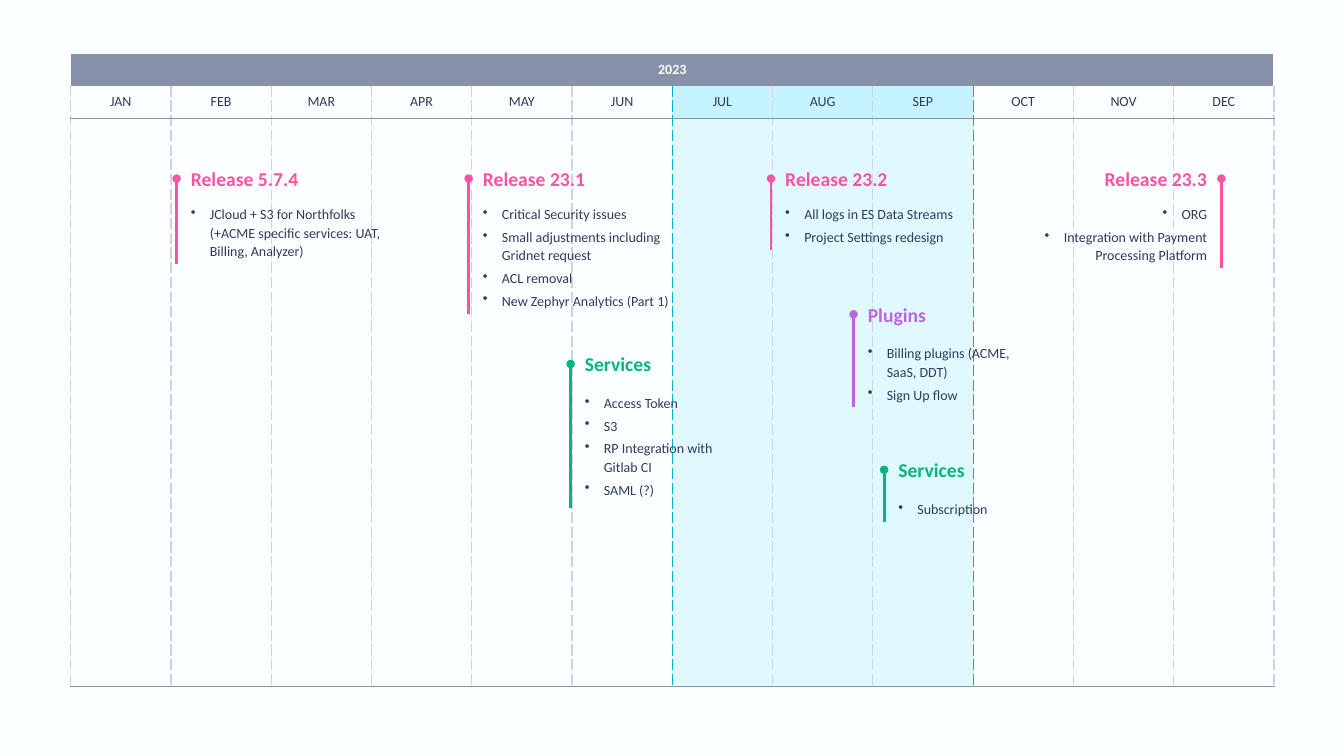
from dataclasses import dataclass

from lxml import etree
from pptx import Presentation
from pptx.dml.color import RGBColor
from pptx.enum.shapes import MSO_CONNECTOR
from pptx.enum.text import MSO_ANCHOR, PP_ALIGN
from pptx.oxml.ns import qn
from pptx.util import Cm, Pt

STRAIGHT = MSO_CONNECTOR.STRAIGHT
MIDDLE, TOP = MSO_ANCHOR.MIDDLE, MSO_ANCHOR.TOP
LEFT, CENTER, RIGHT = PP_ALIGN.LEFT, PP_ALIGN.CENTER, PP_ALIGN.RIGHT
LEFT_SIDE, RIGHT_SIDE = 1, 3


@dataclass(frozen=True)
class Theme:
    font: str = "Calibri"
    paper: str = "FBFFFF"
    ink: str = "2E3B5F"
    slate: str = "8791AA"
    grid: str = "CFD3DD"
    quarter_edge: str = "05AFD0"
    quarter: str = "C5F4FE"
    release: str = "FA53A4"
    services: str = "00B681"
    plugins: str = "BB65E0"
    small: int = 10
    heading: int = 14


THEME = Theme()


@dataclass(frozen=True)
class Milestone:
    """Lengths are in centimetres; x and dot place the dot on the stem."""
    title: str
    color: str
    x: float
    dot: float
    stem: float
    heading_width: float
    body_width: float
    items: tuple
    body_gap: float = 0.51
    align: PP_ALIGN = LEFT


MONTHS = ("JAN", "FEB", "MAR", "APR", "MAY", "JUN",
          "JUL", "AUG", "SEP", "OCT", "NOV", "DEC")
QUARTER_START, QUARTER_END = 6, 9
ROW_COUNT, TALL_ROW = 17, 8
SPECIAL_ROWS = {0: Cm(0.79), TALL_ROW: Cm(2.11), ROW_COUNT - 1: Cm(1.45)}

MILESTONES = (
    Milestone("Plugins", THEME.plugins, 21.51, 7.92, 2.34, 3.86, 4.62,
              ("Billing plugins (ACME, SaaS, DDT)", "Sign Up flow"), 0.6),
    Milestone("Services", THEME.services, 14.38, 9.17, 3.63, 3.86, 4.62,
              ("Access Token", "S3", "RP Integration with Gitlab CI", "SAML (?)"), 0.6),
    Milestone("Release 23.1", THEME.release, 11.81, 4.5, 3.42, 5.66, 5.66,
              ("Critical Security issues", "Small adjustments including Gridnet request",
               "ACL removal", "New Zephyr Analytics (Part 1)")),
    Milestone("Release 5.7.4", THEME.release, 4.45, 4.5, 2.15, 5.66, 5.66,
              ("JCloud + S3 for Northfolks (+ACME specific services: UAT, Billing, Analyzer)",)),
    Milestone("Release 23.2", THEME.release, 19.43, 4.5, 1.8, 5.66, 5.11,
              ("All logs in ES Data Streams", "Project Settings redesign")),
    Milestone("Release 23.3", THEME.release, 30.78, 4.5, 2.26, 4.06, 4.85,
              ("ORG", "Integration with Payment Processing Platform"), align=RIGHT),
    Milestone("Services", THEME.services, 22.28, 11.84, 1.32, 3.86, 4.62,
              ("Subscription",), 0.6),
)


def add_run(paragraph, text, size, color, bold=False):
    run = paragraph.add_run()
    run.text = text
    run.font.name = THEME.font
    run.font.size = Pt(size)
    run.font.bold = bold
    run.font.color.rgb = RGBColor.from_string(color)


def set_borders(cell, borders):
    """Draw the given sides as (colour, points, dash) and clear the others."""
    properties = cell._tc.get_or_add_tcPr()
    for position, side in enumerate(("lnL", "lnR", "lnT", "lnB")):
        line = etree.Element(qn("a:" + side))
        properties.insert(position, line)
        if side not in borders:
            etree.SubElement(line, qn("a:noFill"))
            continue
        color, points, dash = borders[side]
        line.set("w", str(Pt(points)))
        fill = etree.SubElement(line, qn("a:solidFill"))
        etree.SubElement(fill, qn("a:srgbClr"), val=color)
        etree.SubElement(line, qn("a:prstDash"), val=dash)


def fill_cell(cell, color, alpha=None):
    cell.fill.solid()
    cell.fill.fore_color.rgb = RGBColor.from_string(color)
    if alpha:
        shade = cell._tc.tcPr.find(".//" + qn("a:srgbClr"))
        etree.SubElement(shade, qn("a:alpha"), val=str(alpha * 1000))


def month_edge(index):
    edge = index in (QUARTER_START, QUARTER_END)
    return THEME.quarter_edge if edge else THEME.grid, 1, "dash"


def format_calendar_cell(cell, row, column):
    cell.margin_left = cell.margin_right = 0
    cell.margin_top = cell.margin_bottom = Cm(0.13)
    cell.vertical_anchor = MIDDLE
    paragraph = cell.text_frame.paragraphs[0]
    paragraph.alignment = CENTER
    if row == 0:
        fill_cell(cell, THEME.slate)
        set_borders(cell, {"lnR": (THEME.paper, 1, "solid")})
        if column == 0:
            add_run(paragraph, "2023", THEME.small, THEME.paper, bold=True)
        return

    if QUARTER_START <= column < QUARTER_END:
        fill_cell(cell, THEME.quarter, None if row == 1 else 50)
    else:
        cell.fill.background()
    rule = (THEME.slate, 0.75, "solid")
    borders = {"lnL": month_edge(column), "lnR": month_edge(column + 1)}
    if row == 2:
        borders["lnT"] = rule
    if row in (1, ROW_COUNT - 1):
        borders["lnB"] = rule
    set_borders(cell, borders)
    if row == 1:
        add_run(paragraph, MONTHS[column], THEME.small, THEME.ink)
    else:
        paragraph._p.get_or_add_endParaRPr().set("sz", str(THEME.small * 100))


def add_calendar(slide, left, top, width, height):
    calendar = slide.shapes.add_table(ROW_COUNT, len(MONTHS), left, top, width, height).table
    calendar.first_row = calendar.horz_banding = False
    for column in calendar.columns:
        column.width = width // len(MONTHS)
    plain_height = (height - sum(SPECIAL_ROWS.values())) // (ROW_COUNT - len(SPECIAL_ROWS))
    for index, row in enumerate(calendar.rows):
        row.height = SPECIAL_ROWS.get(index, plain_height)
        for column, cell in enumerate(row.cells):
            format_calendar_cell(cell, index, column)
    calendar.cell(0, 0).merge(calendar.cell(0, len(MONTHS) - 1))


def add_text_box(shapes, box, anchor, padding):
    frame_box = shapes.add_textbox(*box)
    frame = frame_box.text_frame
    frame.word_wrap = True
    frame.vertical_anchor = anchor
    frame.margin_left = Cm(0.36)
    frame.margin_right = Cm(0.3)
    frame.margin_top = frame.margin_bottom = padding
    return frame_box


def add_stem(shapes, x, bottom, heading, side, color):
    """Line rising from the bottom to a dot at the side of the heading."""
    stem = shapes.add_connector(STRAIGHT, x, bottom, x, heading.top + heading.height // 2)
    stem.end_connect(heading, side)
    stem.line.color.rgb = RGBColor.from_string(color)
    stem.line.width = Pt(2)
    etree.SubElement(stem.line._get_or_add_ln(), qn("a:tailEnd"), type="oval")
    etree.SubElement(stem._element.spPr, qn("a:effectLst"))


def add_milestone(slide, milestone):
    shapes = slide.shapes.add_group_shape().shapes
    x, dot = Cm(milestone.x), Cm(milestone.dot)
    bottom = dot + Cm(milestone.stem)
    heading_width, body_width = Cm(milestone.heading_width), Cm(milestone.body_width)
    mirrored = milestone.align == RIGHT
    heading_height = Cm(0.61)

    heading = add_text_box(shapes, (x - heading_width * mirrored, dot - heading_height // 2,
                                    heading_width, heading_height), MIDDLE, 0)
    title = heading.text_frame.paragraphs[0]
    title.alignment = milestone.align
    add_run(title, milestone.title, THEME.heading, milestone.color, bold=True)

    body_top = dot + Cm(milestone.body_gap)
    body = add_text_box(shapes, (x - body_width * mirrored, body_top,
                                 body_width, bottom - body_top), TOP, Cm(0.13))
    if mirrored:
        heading.text_frame.margin_right = body.text_frame.margin_right = Cm(0.36)
    for index, item in enumerate(milestone.items):
        frame = body.text_frame
        paragraph = frame.add_paragraph() if index else frame.paragraphs[0]
        properties = paragraph._p.get_or_add_pPr()
        properties.set("marL", str(Cm(0.48)))
        properties.set("indent", str(-Cm(0.48)))
        etree.SubElement(properties, qn("a:buChar"), char="•")
        paragraph.alignment = milestone.align
        paragraph.line_spacing = 1.1
        paragraph.space_after = Pt(3)
        add_run(paragraph, item, THEME.small, THEME.ink)

    add_stem(shapes, x, bottom, heading, RIGHT_SIDE if mirrored else LEFT_SIDE, milestone.color)


def main():
    deck = Presentation()
    deck.slide_width, deck.slide_height = Cm(33.87), Cm(19.05)
    roadmap = deck.slides.add_slide(deck.slide_layouts[6])
    roadmap.background.fill.solid()
    roadmap.background.fill.fore_color.rgb = RGBColor.from_string(THEME.paper)
    add_calendar(roadmap, Cm(1.78), Cm(1.37), Cm(30.33), Cm(15.93))
    for milestone in MILESTONES:
        add_milestone(roadmap, milestone)
    deck.save("out.pptx")


if __name__ == "__main__":
    main()
